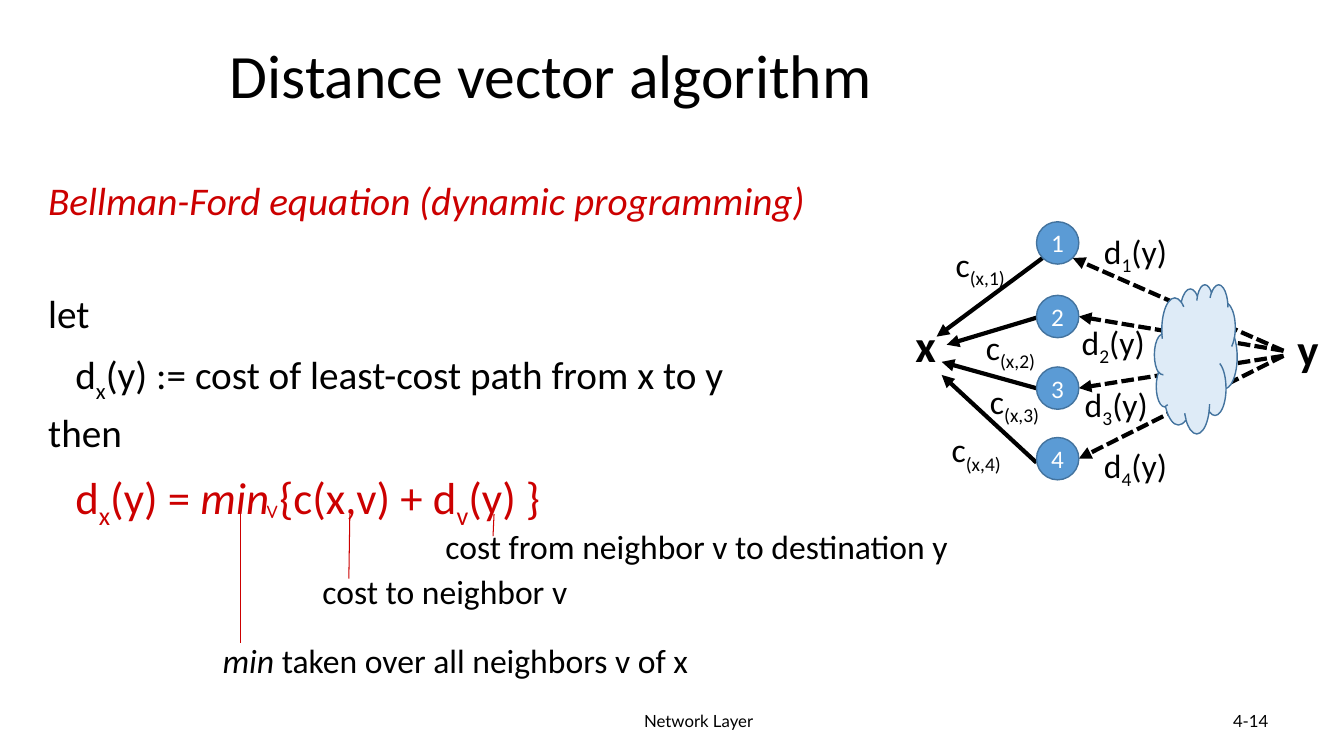
from lxml import etree
from pptx import Presentation
from pptx.dml.color import RGBColor
from pptx.enum.dml import MSO_LINE
from pptx.enum.shapes import MSO_CONNECTOR, MSO_SHAPE
from pptx.enum.text import MSO_ANCHOR, MSO_AUTO_SIZE, PP_ALIGN
from pptx.oxml.ns import qn
from pptx.util import Inches, Pt

BLACK = RGBColor(0x00, 0x00, 0x00)
WHITE = RGBColor(0xFF, 0xFF, 0xFF)
RED = RGBColor(0xCC, 0x00, 0x00)
NODE_BLUE = RGBColor(0x5B, 0x9B, 0xD5)
OUTLINE_BLUE = RGBColor(0x43, 0x73, 0x9E)
CLOUD_BLUE = RGBColor(0xDE, 0xEB, 0xF7)
STRAIGHT = MSO_CONNECTOR.STRAIGHT
DASH = MSO_LINE.SQUARE_DOT
MIDDLE = MSO_ANCHOR.MIDDLE
FIT_TEXT = MSO_AUTO_SIZE.SHAPE_TO_FIT_TEXT
CENTER, RIGHT = PP_ALIGN.CENTER, PP_ALIGN.RIGHT

presentation = Presentation()
presentation.slide_width = Inches(13.33)
presentation.slide_height = Inches(7.5)
slide = presentation.slides.add_slide(presentation.slide_layouts[6])
shapes = slide.shapes


def add_text(left, top, width, height, runs, size, font="Calibri", color=BLACK, bold=False):
    box = shapes.add_textbox(Inches(left), Inches(top), Inches(width), Inches(height))
    box.text_frame.word_wrap = False
    box.text_frame.auto_size = FIT_TEXT
    fill_paragraph(box.text_frame.paragraphs[0], runs, size, font, color, bold)
    return box


def fill_paragraph(paragraph, runs, size, font, color, bold=False):
    for text, style in runs:
        run = paragraph.add_run()
        run.text = text
        run.font.size = Pt(size)
        run.font.name = font
        run.font.color.rgb = color
        run.font.bold = bold
        run.font.italic = style == "italic"
        if style == "sub":
            run._r.get_or_add_rPr().set("baseline", "-25000")


for left, width, text, alignment in [
    (4.68, 4.5, "Network Layer", CENTER),
    (9.68, 3, "4-14", RIGHT),
]:
    footer = add_text(left, 6.95, width, 0.4, [(text, "")], 12, "Lato")
    footer.text_frame.auto_size = MSO_AUTO_SIZE.NONE
    footer.text_frame.word_wrap = True
    footer.text_frame.vertical_anchor = MIDDLE
    footer.text_frame.paragraphs[0].alignment = alignment

title = add_text(2.18, 0.32, 8.5, 0.92, [("Distance vector algorithm", "")], 44)
title.text_frame.auto_size = MSO_AUTO_SIZE.NONE
title.text_frame.word_wrap = True
title.text_frame.vertical_anchor = MIDDLE
title.text_frame.paragraphs[0].line_spacing = 0.9

body_lines = [
    ([("Bellman-Ford equation (dynamic programming)", "italic")], 28, RED, 0, 0),
    ([("let", "")], 28, BLACK, 51, 0),
    ([("d", ""), ("x", "sub"), ("(y) := cost of least-cost path from x to y", "")],
     28, BLACK, 10, 0.27),
    ([("then", "")], 28, BLACK, 10, 0),
    ([("d", ""), ("x", "sub"), ("(y) = ", ""), ("min", "italic"), (" {c(x,v) + d", ""),
      ("v", "sub"), ("(y) }", "")], 32, RED, 10, 0.27),
]
body = shapes.add_textbox(Inches(0.38), Inches(1.75), Inches(8.7), Inches(5.08))
body.text_frame.word_wrap = True
for index, (runs, size, color, space, indent) in enumerate(body_lines):
    paragraph = body.text_frame.paragraphs[0] if index == 0 else body.text_frame.add_paragraph()
    paragraph.line_spacing = 0.9
    paragraph.space_before = Pt(space)
    paragraph._p.get_or_add_pPr().set("marL", str(Inches(indent)))
    fill_paragraph(paragraph, runs, size, "Calibri", color)

add_text(2.55, 4.84, 0.32, 0.4, [("v", "")], 18, "Comic Neue", RED)
add_text(3.1, 5.61, 2.86, 0.5, [("cost to neighbor v", "")], 24)
add_text(2.11, 6.3, 5.31, 0.5,
         [("min", "italic"), (" taken over all neighbors v of x", "")], 24)
add_text(4.32, 5.17, 5.61, 0.5, [("cost from neighbor v to destination y", "")], 24)

callouts = [
    (2.39, 4.98, 2.39, 6.38),
    (3.47, 5.1, 3.46, 5.74),
    (4.9, 5.1, 4.89, 5.32),
]
dashed_paths = [
    (12.73, 3.48, 10.64, 2.56),
    (12.73, 3.48, 10.7, 3.14),
    (12.73, 3.53, 10.7, 3.85),
    (12.73, 3.53, 10.7, 4.55),
]
direct_links = [
    (10.34, 2.56, 9.29, 3.34),
    (10.32, 3.14, 9.39, 3.42),
    (10.31, 3.86, 9.34, 3.59),
    (10.28, 4.59, 9.34, 3.72),
]
node_tops = [2.2, 2.93, 3.64, 4.34]
distance_labels = [(10.85, 2.24), (10.63, 3.14), (10.66, 3.76), (10.85, 4.36)]
cost_labels = [(9.38, 2.37), (9.68, 3.19), (9.72, 3.73), (9.34, 4.21)]

line_groups = [
    (callouts, RED, 0.75, None, False),
    (dashed_paths, BLACK, 3, DASH, True),
    (direct_links, BLACK, 3, None, True),
]
for group, color, weight, dash, arrow in line_groups:
    for points in group:
        connector = shapes.add_connector(STRAIGHT, *[Inches(value) for value in points])
        connector.line.color.rgb = color
        connector.line.width = Pt(weight)
        if dash:
            connector.line.dash_style = dash
        if arrow:
            etree.SubElement(connector.line._get_or_add_ln(), qn("a:tailEnd"), type="triangle")
        etree.SubElement(connector._element.spPr, qn("a:effectLst"))

cloud = shapes.add_shape(
    MSO_SHAPE.CLOUD, Inches(11.45), Inches(2.82), Inches(0.82), Inches(1.48))
nodes = [
    shapes.add_shape(MSO_SHAPE.OVAL, Inches(10.28), Inches(top), Inches(0.42), Inches(0.42))
    for top in node_tops
]
for shape in [cloud, *nodes]:
    shape.shadow.inherit = False
    shape.fill.solid()
    shape.fill.fore_color.rgb = NODE_BLUE
    shape.line.color.rgb = OUTLINE_BLUE
    shape.line.width = Pt(1)
cloud.fill.fore_color.rgb = CLOUD_BLUE

for number, node in enumerate(nodes, start=1):
    frame = node.text_frame
    frame.margin_left = frame.margin_right = frame.margin_top = frame.margin_bottom = 0
    frame.vertical_anchor = MIDDLE
    frame.paragraphs[0].alignment = CENTER
    fill_paragraph(frame.paragraphs[0], [(str(number), "")], 18, "Calibri", WHITE)

add_text(12.77, 3.14, 0.41, 0.64, [("y", "")], 32, bold=True)
add_text(8.98, 3.1, 0.41, 0.64, [("x", "")], 32, bold=True)
for number, (left, top) in enumerate(distance_labels, start=1):
    add_text(left, top, 0.85, 0.5, [("d", ""), (str(number), "sub"), ("(y)", "")], 24)
for number, (left, top) in enumerate(cost_labels, start=1):
    add_text(left, top, 0.75, 0.5, [("c", ""), (f"(x,{number})", "sub")], 24)

# Save
presentation.save("out.pptx")
